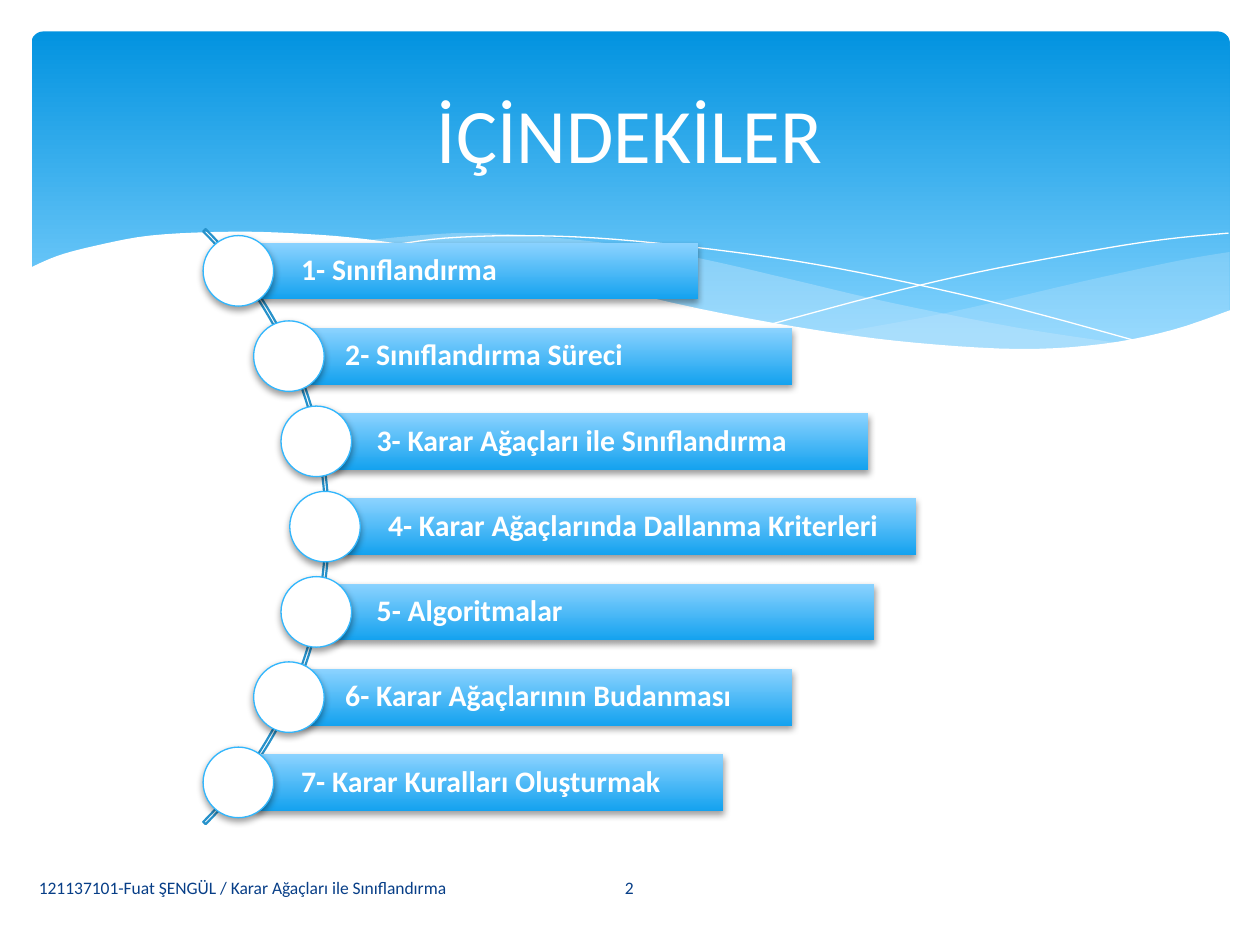
from dataclasses import dataclass
from math import sqrt

from lxml import etree
from pptx import Presentation, util as u
from pptx.dml.color import RGBColor
from pptx.enum import shapes as s, text as t
from pptx.oxml import ns

WHITE, NAVY = "FFFFFF", "073E87"
FONT = "Calibri"
Point = tuple[float, float]


@dataclass
class Item:
    label: str
    left: float
    width: float


@dataclass
class Wave:
    runs: list[list[Point]]  # each run is one smooth curve
    fill: str | None = None
    alpha: int = 100


ITEMS = [
    Item("1- Sınıflandırma", 2.03, 3.51),
    Item("2- Sınıflandırma Süreci", 2.38, 3.91),
    Item("3- Karar Ağaçları ile Sınıflandırma", 2.63, 4.26),
    Item("4- Karar Ağaçlarında Dallanma Kriterleri", 2.72, 4.55),
    Item("5- Algoritmalar", 2.63, 4.31),
    Item("6- Karar Ağaçlarının Budanması", 2.38, 3.91),
    Item("7- Karar Kuralları Oluşturmak", 2.03, 3.71),
]

WAVES = [
    Wave([[(9.76, 2), (9.35, 2.07), (8.61, 2.23), (7.53, 2.48), (6.61, 2.65)],
          [(6.61, 2.65), (7.19, 2.72), (7.69, 2.77), (8.14, 2.78), (8.63, 2.75),
           (9.13, 2.67), (9.49, 2.57), (9.76, 2.47)]], "C6E7FC", 29),
    Wave([[(8.93, 2.73), (8.07, 2.6), (7.06, 2.4), (6.29, 2.22), (5.55, 2.05),
           (4.89, 1.94), (4.2, 1.87), (3.61, 1.85), (2.86, 1.91)],
          [(2.86, 1.91), (3.62, 2.03), (4.49, 2.22), (5.66, 2.48), (6.5, 2.64),
           (7.22, 2.74), (7.85, 2.78), (8.38, 2.78), (8.93, 2.73)]], "C6E7FC", 40),
    Wave([[(3.09, 1.95), (3.53, 1.89), (4.16, 1.87), (4.89, 1.9), (5.82, 2),
           (6.65, 2.13), (7.6, 2.33), (8.31, 2.51), (9.07, 2.72)]]),
    Wave([[(6.13, 2.57), (6.95, 2.35), (7.76, 2.16), (8.66, 1.99),
           (9.24, 1.9), (9.75, 1.85)]]),
    Wave([[(9.77, 2.46), (9.3, 2.62), (8.75, 2.73), (8.09, 2.77), (7.26, 2.72),
           (6.48, 2.62), (5.55, 2.45), (4.47, 2.2), (3.65, 2.02), (2.92, 1.9),
           (2.3, 1.85), (1.77, 1.84), (1.19, 1.87), (0.76, 1.95), (0.46, 2.03),
           (0.23, 2.13)], [(0.23, 3.29)], [(9.77, 3.29)]], WHITE),
]


def hue(code: str) -> RGBColor:
    return RGBColor.from_string(code)


def write(shape, words: str, *, size: float, color: str = WHITE, bold: bool = False,
          align=t.PP_ALIGN.LEFT, inset: float = 0.1, space: float = 1.0) -> None:
    frame = shape.text_frame
    frame.word_wrap = True
    frame.auto_size = t.MSO_AUTO_SIZE.NONE
    frame.vertical_anchor = t.MSO_ANCHOR.MIDDLE
    frame.margin_left = u.Inches(inset)
    frame.margin_right = u.Inches(min(inset, 0.1))
    frame.text = words
    para = frame.paragraphs[0]
    para.alignment, para.line_spacing = align, space
    font = para.font
    font.name, font.size, font.bold = FONT, u.Pt(size), bold
    font.color.rgb = hue(color)


def place(kind, left: float, top: float, width: float, height: float):
    shape = tree.add_shape(kind, *map(u.Inches, (left, top, width, height)))
    shape.shadow.inherit = False
    shape.line.fill.background()
    return shape


def paint(shape, code: str, alpha: int = 100) -> None:
    shape.fill.solid()
    shape.fill.fore_color.rgb = hue(code)
    if alpha < 100:
        clr = shape.fill._xPr.find(".//" + ns.qn("a:srgbClr"))
        etree.SubElement(clr, ns.qn("a:alpha")).set("val", str(alpha * 1000))


def fade(shape, first: str, last: str, end: float = 1.0) -> None:
    shape.fill.gradient()
    shape.fill.gradient_angle = 270
    for stop, code, pos in zip(shape.fill.gradient_stops, (first, last), (0, end)):
        stop.color.rgb, stop.position = hue(code), pos


def edge(shape, code: str, width: float) -> None:
    shape.line.color.rgb = hue(code)
    shape.line.width = u.Pt(width)


def shade(shape) -> None:
    """Soft shadow straight below the shape."""
    box = shape._element.spPr.find(ns.qn("a:effectLst"))
    drop = etree.SubElement(box, ns.qn("a:outerShdw"), blurRad=str(u.Pt(4)),
                            dist=str(u.Pt(2)), dir="5400000", rotWithShape="0")
    clr = etree.SubElement(drop, ns.qn("a:srgbClr"), val="000000")
    etree.SubElement(clr, ns.qn("a:alpha"), val="38000")


def smooth(run: list[Point], steps: int = 5) -> list[Point]:
    """Catmull-Rom curve through the points of a run."""
    ends = [run[0], *run, run[-1]]
    out = [run[0]]
    for a, b, c, d in zip(ends, ends[1:], ends[2:], ends[3:]):
        for k in range(1, steps + 1):
            f = k / steps
            out.append(tuple(
                b[n] + f * (c[n] - a[n]) / 2
                + f * f * (2 * a[n] - 5 * b[n] + 4 * c[n] - d[n]) / 2
                + f ** 3 * (3 * b[n] - a[n] - 3 * c[n] + d[n]) / 2
                for n in (0, 1)))
    return out


def flow(wave: Wave) -> None:
    dots = [(u.Inches(x), u.Inches(y)) for run in wave.runs for x, y in smooth(run)]
    pen = tree.build_freeform(*dots[0])
    pen.add_line_segments(dots[1:], close=wave.fill is not None)
    shape = pen.convert_to_shape()
    shape.shadow.inherit = False
    if wave.fill:
        paint(shape, wave.fill, wave.alpha)
        shape.line.fill.background()
    else:
        shape.fill.background()
        edge(shape, WHITE, 0)


def entry(item: Item, mid: float, axis: float) -> None:
    bar = place(s.MSO_SHAPE.RECTANGLE, item.left, mid - 0.225, item.width, 0.45)
    fade(bar, "8CD3FF", "14A2EF")
    shade(bar)
    write(bar, item.label, size=17, bold=True, inset=0.36, space=0.9)
    dot = place(s.MSO_SHAPE.OVAL, axis - 0.28, mid - 0.28, 0.56, 0.56)
    paint(dot, WHITE)
    edge(dot, "31B6FD", 0.75)
    shade(dot)


def note(left: float, width: float, words: str, align) -> None:
    box = tree.add_textbox(*map(u.Inches, (left, 6.84, width, 0.4)))
    write(box, words, size=10, color=NAVY, align=align)


deck = Presentation()
deck.slide_width, deck.slide_height = u.Inches(10), u.Inches(7.5)
slide = deck.slides.add_slide(deck.slide_layouts[5])
tree = slide.shapes

# Blue header with waves
head = place(s.MSO_SHAPE.ROUNDED_RECTANGLE, 0.25, 0.25, 9.51, 2.7)
head.adjustments[0] = 0.034
fade(head, "0293E0", "83D3FE", 0.9)
for wave in WAVES:
    flow(wave)

# Arc from 315 to 45 degrees, with the entries strung along it
RAD, MID, PITCH = 3.34, 4.18, 4.06 / 6
arc = place(s.MSO_SHAPE.BLOCK_ARC, -4.07, MID - RAD, 2 * RAD, 2 * RAD)
for n, value in enumerate((189, 27, 0.004)):
    arc.adjustments[n] = value
arc.fill.background()
edge(arc, "2792CB", 1.25)
for n, item in enumerate(ITEMS):
    rise = (n - 3) * PITCH
    entry(item, MID + rise, sqrt(RAD ** 2 - rise ** 2) - 0.76)

# Footer
note(0.21, 4.14, "121137101-Fuat ŞENGÜL / Karar Ağaçları ile Sınıflandırma", t.PP_ALIGN.LEFT)
note(4.36, 1.27, "2", t.PP_ALIGN.CENTER)

# Title, brought in front of the header
title = tree.title
title.left, title.top, title.width, title.height = map(u.Inches, (0.5, 0.37, 9, 1.37))
write(title, "İÇİNDEKİLER", size=44, align=t.PP_ALIGN.CENTER)
tree._spTree.append(title._element)

deck.save("out.pptx")
